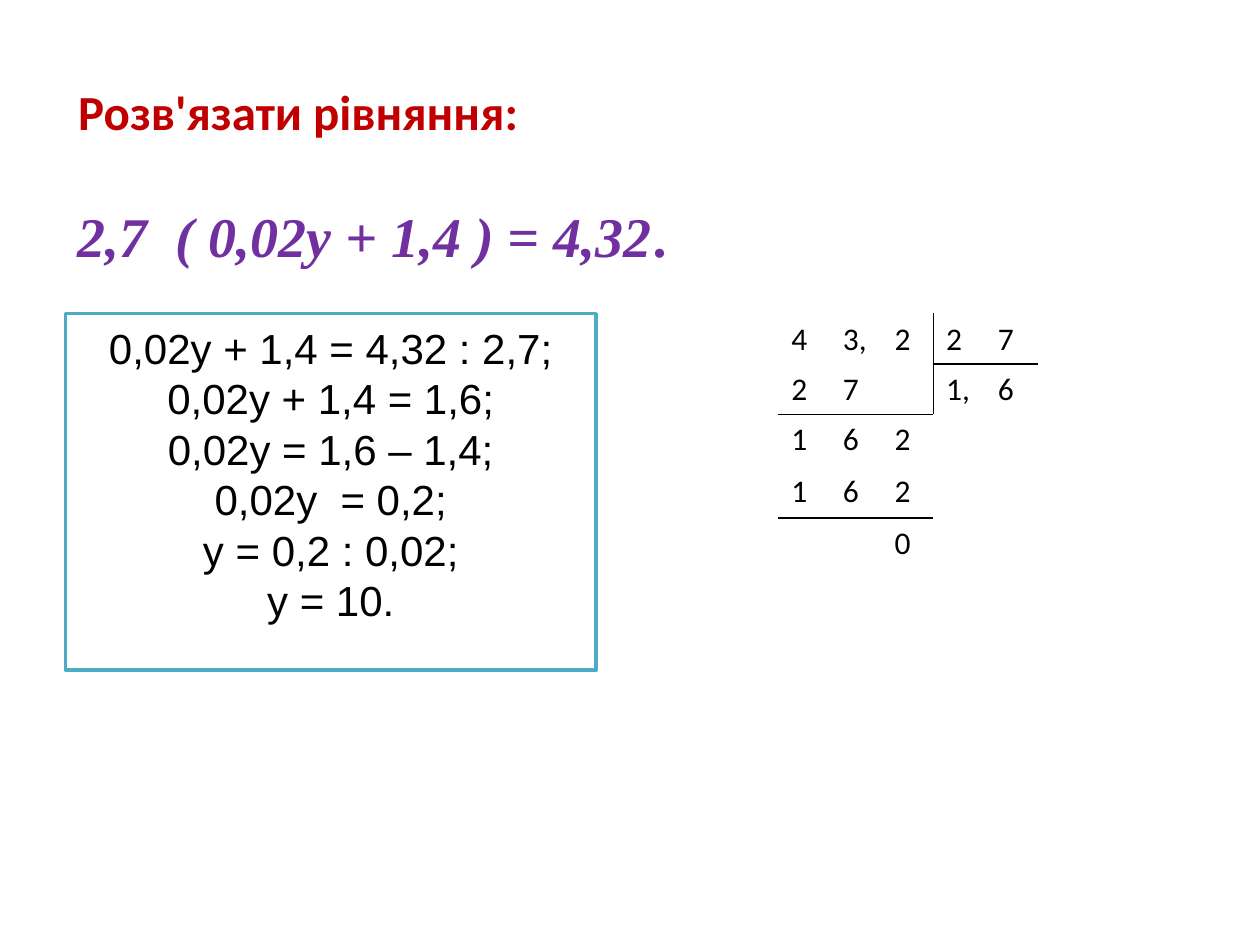
import lxml.etree
import pptx
import pptx.dml.color
import pptx.enum.shapes
import pptx.enum.text
import pptx.oxml.ns
import pptx.util

BLACK = pptx.dml.color.RGBColor(0x00, 0x00, 0x00)
WHITE = pptx.dml.color.RGBColor(0xFF, 0xFF, 0xFF)
RED = pptx.dml.color.RGBColor(0xC0, 0x00, 0x00)
PURPLE = pptx.dml.color.RGBColor(0x70, 0x30, 0xA0)
TEAL = pptx.dml.color.RGBColor(0x4B, 0xAC, 0xC6)
Inches, Pt = pptx.util.Inches, pptx.util.Pt
ALIGN = pptx.enum.text.PP_ALIGN
ANCHOR = pptx.enum.text.MSO_ANCHOR

LEFT = 0.52
WORK_TOP = 2.49
CELL = 0.41


def format_font(font, color, **values):
    font.color.rgb = color
    for name, value in values.items():
        setattr(font, name, value)


def add_border(cell, side):
    line = lxml.etree.SubElement(
        cell._tc.get_or_add_tcPr(), pptx.oxml.ns.qn(f"a:ln{side}"), w=str(Pt(1)))
    fill = lxml.etree.SubElement(line, pptx.oxml.ns.qn("a:solidFill"))
    lxml.etree.SubElement(fill, pptx.oxml.ns.qn("a:srgbClr"), val=str(BLACK))


presentation = pptx.Presentation()
presentation.slide_width, presentation.slide_height = Inches(10), Inches(7.5)
slide = presentation.slides.add_slide(presentation.slide_layouts[5])

# Heading
title = slide.shapes.title
title.left, title.top = Inches(LEFT), Inches(0.6)
title.width, title.height = Inches(3.73), Inches(0.57)
title.text_frame.text = "Розв'язати рівняння:"
title.text_frame.word_wrap = False
title.text_frame.vertical_anchor = ANCHOR.TOP
heading = title.text_frame.paragraphs[0]
heading.alignment = ALIGN.LEFT
format_font(heading.runs[0].font, RED, name="Calibri", size=Pt(28), bold=True)

# Equation
equation = slide.shapes.add_textbox(
    Inches(LEFT), Inches(1.55), Inches(5.03), Inches(0.64))
equation.text_frame.word_wrap = False
paragraph = equation.text_frame.paragraphs[0]
for text, italic in (("2,7  ( 0,02у + 1,4 ) = 4,32", True), (".", False)):
    run = paragraph.add_run()
    run.text = text
    format_font(run.font, PURPLE, name="Times New Roman", size=Pt(32),
                bold=True, italic=italic)

# Solution steps
solution = slide.shapes.add_shape(
    pptx.enum.shapes.MSO_SHAPE.RECTANGLE,
    Inches(LEFT), Inches(WORK_TOP), Inches(4.21), Inches(2.83))
solution.shadow.inherit = False
solution.fill.solid()
solution.fill.fore_color.rgb = WHITE
solution.line.color.rgb = TEAL
solution.line.width = Pt(2)
frame = solution.text_frame
frame.word_wrap = True
frame.vertical_anchor = ANCHOR.MIDDLE
frame.margin_bottom = Inches(0.34)
frame.text = "\n".join((
    "0,02у + 1,4 = 4,32 : 2,7;",
    "0,02у + 1,4 = 1,6;",
    "0,02у = 1,6 – 1,4;",
    "0,02у  = 0,2;",
    "у = 0,2 : 0,02;",
    "у = 10.",
))
for paragraph in frame.paragraphs:
    paragraph.alignment = ALIGN.CENTER
    format_font(paragraph.runs[0].font, BLACK, name="Arial", size=Pt(24))

# Long division
division = (
    ("4", "3,", "2", "2", "7"),
    ("2", "7", "", "1,", "6"),
    ("1", "6", "2", "", ""),
    ("1", "6", "2", "", ""),
    ("", "", "0", "", ""),
)
ruled_below = {(0, 3), (0, 4)} | {(row, column) for row in (1, 3) for column in range(3)}
ruled_right = {(0, 2), (1, 2)}
table = slide.shapes.add_table(
    5, 5, Inches(6.18), Inches(WORK_TOP), Inches(5 * CELL), Inches(5 * CELL)).table
table.first_row = table.horz_banding = False
for column in table.columns:
    column.width = Inches(CELL)
for row, height in zip(table.rows, (0.4, 0.4, CELL, CELL, CELL)):
    row.height = Inches(height)
for row, texts in enumerate(division):
    for column, text in enumerate(texts):
        cell = table.cell(row, column)
        cell.text = text
        format_font(cell.text_frame.paragraphs[0].font, BLACK,
                    name="Calibri", size=Pt(18))
        for side, ruled in (
            ("L", (row, column - 1) in ruled_right),
            ("R", (row, column) in ruled_right),
            ("T", (row - 1, column) in ruled_below),
            ("B", (row, column) in ruled_below),
        ):
            if ruled:
                add_border(cell, side)
        cell.fill.background()

presentation.save("out.pptx")
